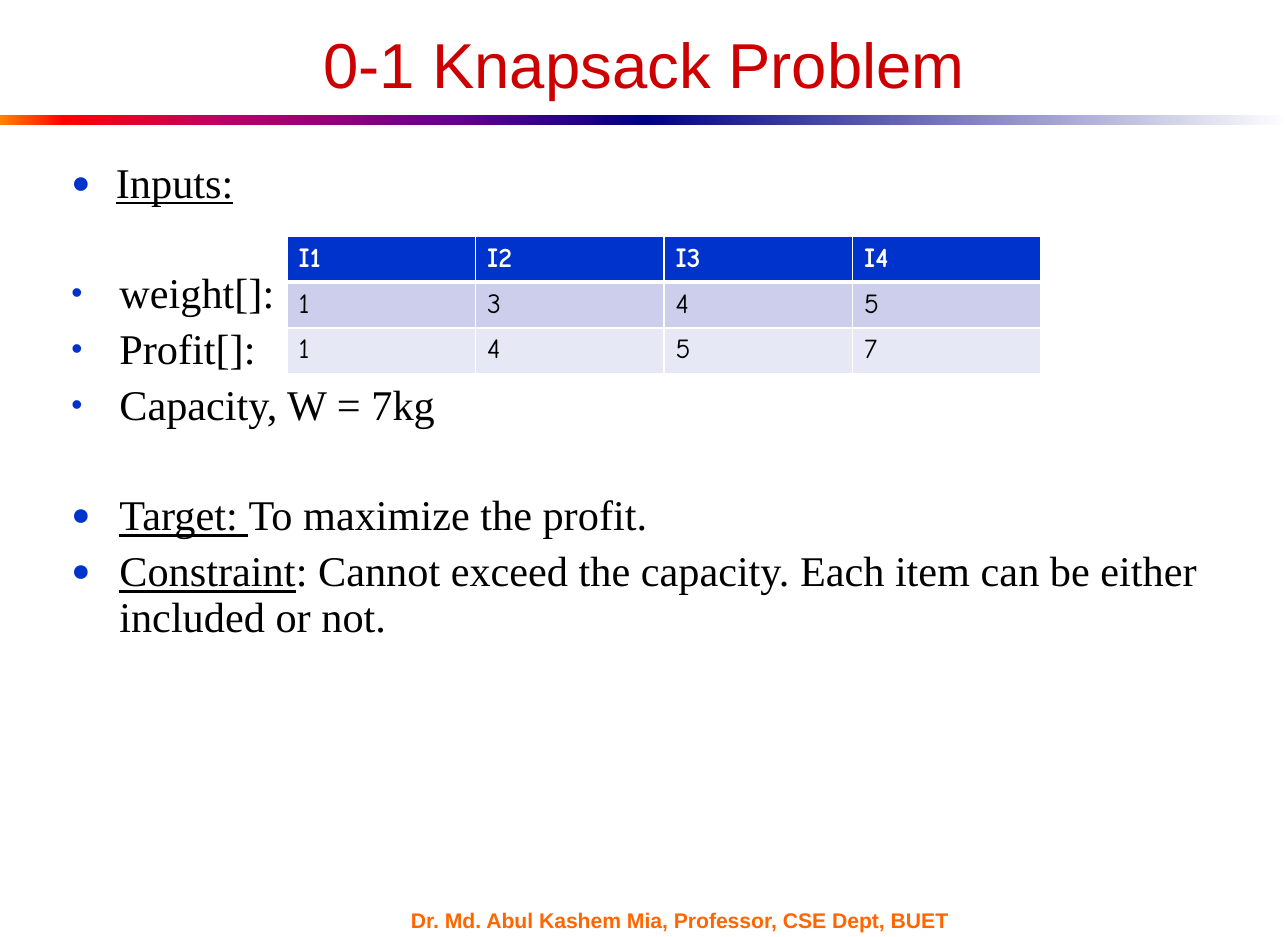
from dataclasses import dataclass

from lxml import etree
from pptx import Presentation
from pptx import util as u
from pptx.dml.color import RGBColor
from pptx.enum import shapes, text
from pptx.oxml import ns

TITLE = "0-1 Knapsack Problem"
FOOTER = "Dr. Md. Abul Kashem Mia, Professor, CSE Dept, BUET"
BODY = [
    ("●", 0.38, False, [("Inputs:", True)]),
    ("•", 0.41, True, [("weight[]:", False)]),
    ("•", 0.41, False, [("Profit[]:", False)]),
    ("•", 0.41, False, [("Capacity, W = 7kg", False)]),
    ("●", 0.41, True, [("Target: ", True), ("To maximize the profit.", False)]),
    ("●", 0.41, False, [("Constraint", True),
     (": Cannot exceed the capacity. Each item can be either included or not.", False)]),
]
ITEMS = [["I1", "I2", "I3", "I4"], ["1", "3", "4", "5"], ["1", "4", "5", "7"]]
BARS = [
    [(0, "FF8200"), (10, "FF0000"), (35, "BA0066"), (70, "66008F"), (100, "000082")],
    [(0, "000082"), (100, "FFFFFF")],
]


@dataclass(frozen=True)
class Theme:
    """Colours, fonts and type sizes of the slide."""
    red: str = "CC0000"
    blue: str = "0033CC"
    orange: str = "FF6600"
    black: str = "000000"
    white: str = "FFFFFF"
    row_fills: tuple = ("0033CC", "CCCEEC", "E7E8F6")
    sans: str = "Arial"
    serif: str = "Times New Roman"
    comic: str = "Comic Neue"
    title_size: float = 39
    body_size: float = 26
    table_size: float = 17
    footer_size: float = 13
    paragraph_gap: float = 6.4
    line_pitch: float = 33.3


THEME = Theme()


def add(parent, tag, **attributes):
    """Append a drawing element to parent."""
    return etree.SubElement(parent, ns.qn(tag), attributes)


def add_run(paragraph, words, font_name, size, color, bold=False, underline=False):
    """Append one formatted run."""
    run = paragraph.add_run()
    run.text = words
    font = run.font
    font.name, font.size = font_name, u.Pt(size)
    font.bold, font.underline = bold, underline
    font.color.rgb = RGBColor.from_string(color)


def place(shape, left, top, width, height, anchor):
    """Move a text shape and set up its frame."""
    shape.left, shape.top = u.Inches(left), u.Inches(top)
    shape.width, shape.height = u.Inches(width), u.Inches(height)
    frame = shape.text_frame
    frame.word_wrap = True
    frame.auto_size = text.MSO_AUTO_SIZE.NONE
    frame.vertical_anchor = anchor
    frame.margin_left = frame.margin_right = u.Inches(0.11)
    frame.margin_top = frame.margin_bottom = u.Inches(0.05)
    return frame


def add_bar(slide, index, stops):
    """Draw one half of the gradient rule."""
    bar = slide.shapes.add_shape(
        shapes.MSO_SHAPE.RECTANGLE, u.Inches(5.5 * index), u.Inches(0.98),
        u.Inches(5.5), u.Inches(0.09))
    bar.shadow.inherit = False
    bar.line.fill.background()
    bar.fill.gradient()
    bar.fill.gradient_angle = 0
    stop_list = bar.fill.gradient_stops[0]._gs.getparent()
    for stop in list(stop_list):
        stop_list.remove(stop)
    for position, color in stops:
        add(add(stop_list, "a:gs", pos=str(position * 1000)), "a:srgbClr", val=color)


def add_body(slide):
    """Fill the body placeholder with the bulleted list."""
    frame = place(slide.placeholders[1], 0.5, 1.33, 9.9, 4.56, text.MSO_ANCHOR.TOP)
    for index, (bullet, indent, new_group, runs) in enumerate(BODY):
        paragraph = frame.add_paragraph() if index else frame.paragraphs[0]
        properties = paragraph._p.get_or_add_pPr()
        properties.set("marL", str(u.Inches(indent)))
        properties.set("indent", str(-u.Inches(indent)))
        add(add(properties, "a:buClr"), "a:srgbClr", val=THEME.blue)
        add(properties, "a:buSzPct", val="75000")
        add(properties, "a:buChar", char=bullet)
        paragraph.line_spacing = 0.9
        gap = THEME.paragraph_gap + (THEME.line_pitch if new_group else 0)
        paragraph.space_before = u.Pt(gap if index else 0)
        for words, underline in runs:
            add_run(paragraph, words, THEME.serif, THEME.body_size, THEME.black,
                    underline=underline)


def add_items(slide):
    """Build the table of item weights and profits."""
    table = slide.shapes.add_table(
        len(ITEMS), len(ITEMS[0]), u.Inches(2.45), u.Inches(2.02),
        u.Inches(6.44), u.Inches(1.17)).table
    table.horz_banding = False
    for row_index, values in enumerate(ITEMS):
        header = row_index == 0
        for column_index, value in enumerate(values):
            cell = table.cell(row_index, column_index)
            properties = cell._tc.get_or_add_tcPr()
            for side in "LRTB":
                thick = (row_index, side) in ((0, "B"), (1, "T"))
                line = add(properties, f"a:ln{side}", w=str(u.Pt(3 if thick else 1)))
                add(add(line, "a:solidFill"), "a:srgbClr", val=THEME.white)
            cell.fill.solid()
            cell.fill.fore_color.rgb = RGBColor.from_string(THEME.row_fills[row_index])
            add_run(cell.text_frame.paragraphs[0], value, THEME.comic, THEME.table_size,
                    THEME.white if header else THEME.black, bold=header)


def main():
    """Build and save the slide."""
    presentation = Presentation()
    presentation.slide_width, presentation.slide_height = u.Inches(11), u.Inches(8)
    slide = presentation.slides.add_slide(presentation.slide_layouts[1])
    for index, stops in enumerate(BARS):
        add_bar(slide, index, stops)
    footer = slide.shapes.add_textbox(0, 0, 0, 0)
    frame = place(footer, 3.4, 7.76, 5.13, 0.19, text.MSO_ANCHOR.MIDDLE)
    add_run(frame.paragraphs[0], FOOTER, THEME.sans, THEME.footer_size, THEME.orange, bold=True)
    add_body(slide)
    frame = place(slide.shapes.title, 0.55, 0.27, 9.9, 0.54, text.MSO_ANCHOR.MIDDLE)
    frame.paragraphs[0].alignment = text.PP_ALIGN.CENTER
    add_run(frame.paragraphs[0], TITLE, THEME.sans, THEME.title_size, THEME.red)
    add_items(slide)
    presentation.save("out.pptx")


if __name__ == "__main__":
    main()
